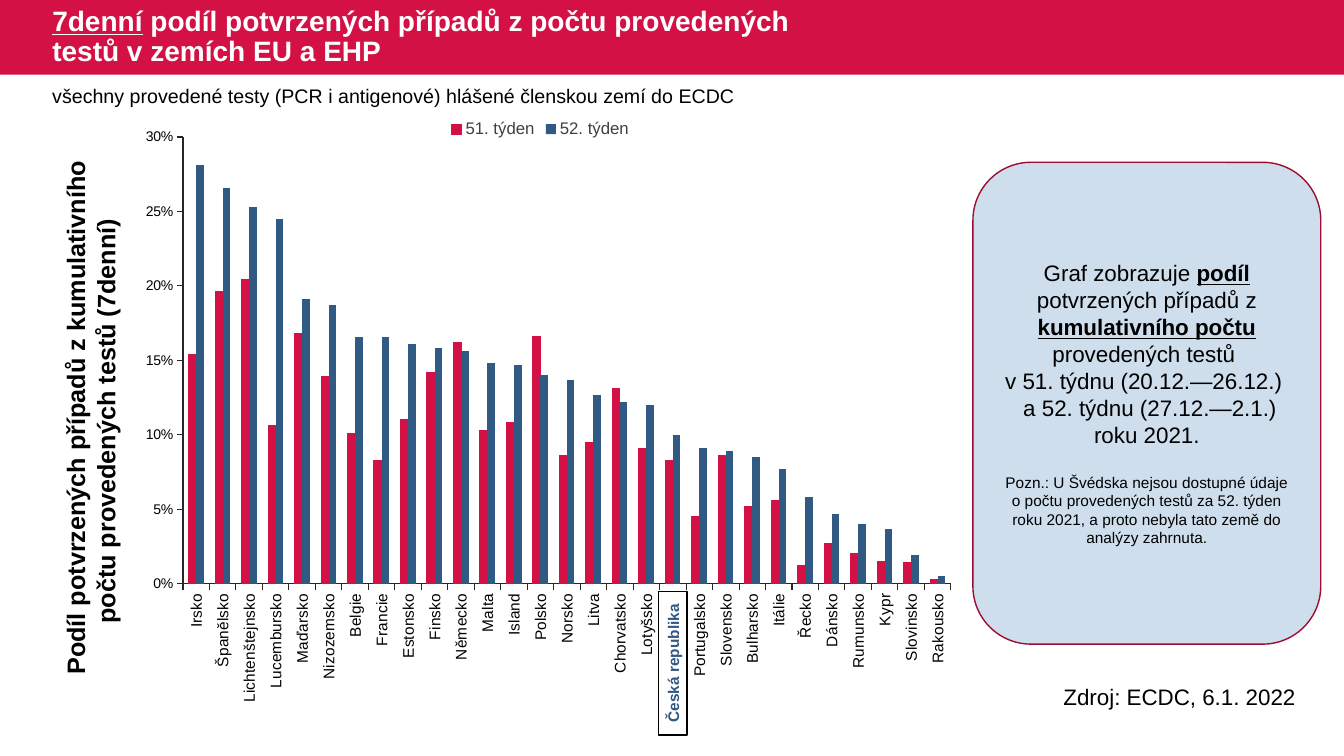
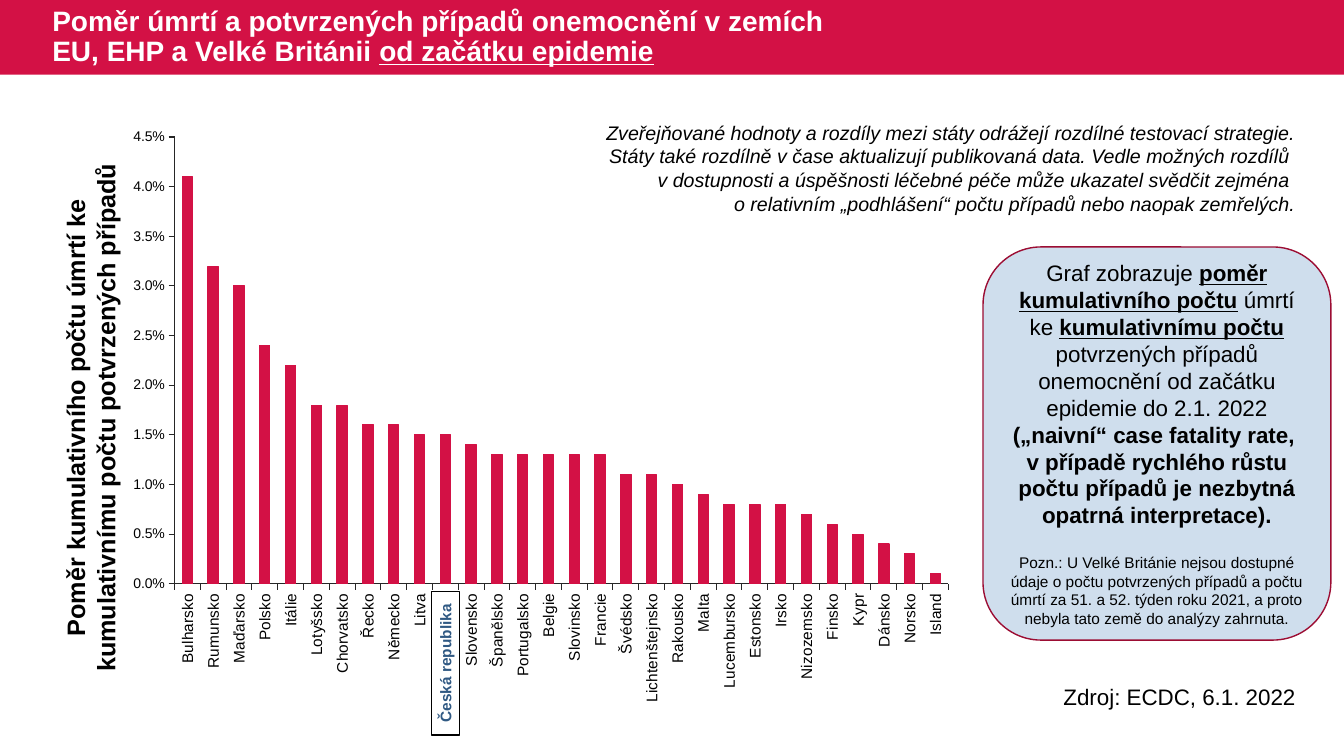
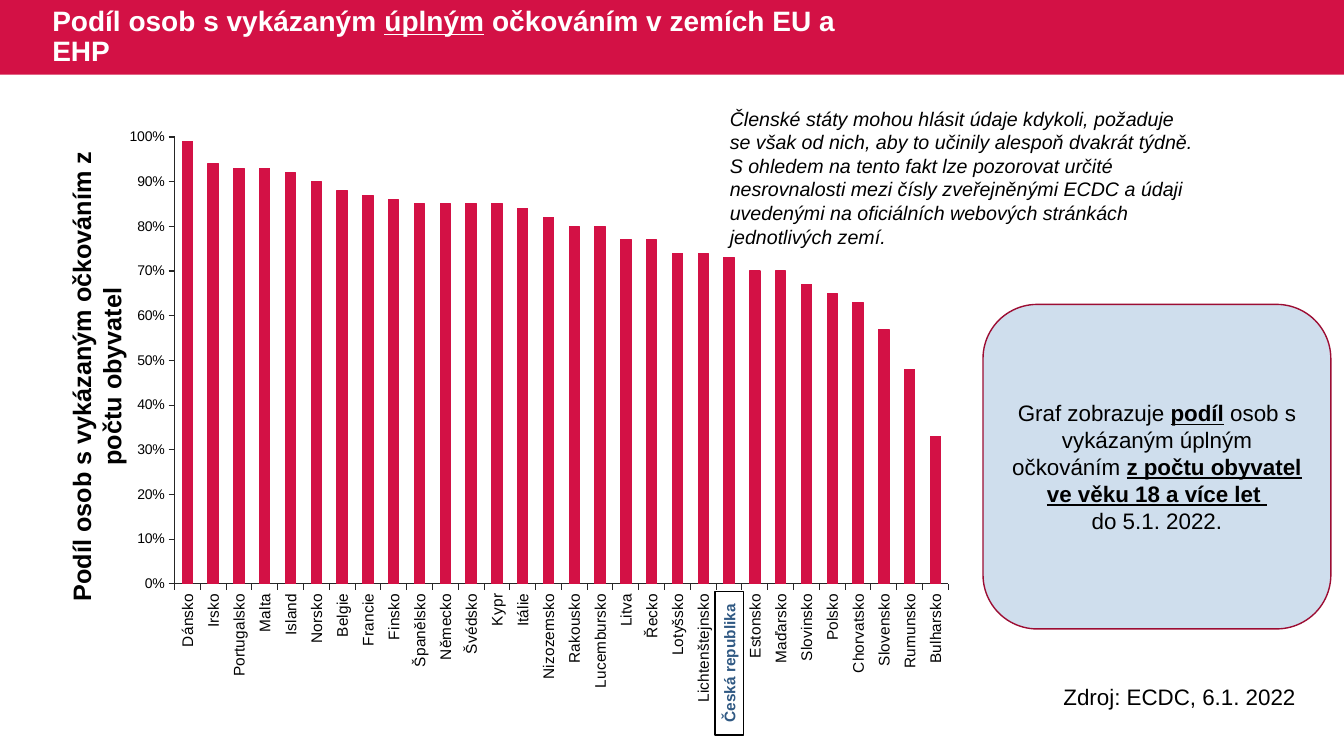
"""Build three slides of Czech epidemic charts with python-pptx."""
from dataclasses import dataclass
from typing import NamedTuple

from lxml import etree
from pptx import Presentation
from pptx.chart.data import CategoryChartData
from pptx.dml.color import RGBColor
from pptx.enum.chart import XL_CHART_TYPE, XL_LEGEND_POSITION, XL_TICK_MARK
from pptx.enum.shapes import MSO_SHAPE
from pptx.enum.text import MSO_ANCHOR, PP_ALIGN
from pptx.oxml.ns import qn
from pptx.util import Inches, Pt

RED = RGBColor(0xD3, 0x11, 0x45)
DARK_RED = RGBColor(0x9C, 0x0D, 0x33)
BLUE = RGBColor(0x30, 0x59, 0x83)
PALE_BLUE = RGBColor(0xCF, 0xDE, 0xED)
BLACK = RGBColor(0, 0, 0)
WHITE = RGBColor(0xFF, 0xFF, 0xFF)
AXIS_GREY = RGBColor(0x26, 0x26, 0x26)
LEGEND_GREY = RGBColor(0x40, 0x40, 0x40)

RECT, ROUND = MSO_SHAPE.RECTANGLE, MSO_SHAPE.ROUNDED_RECTANGLE
LEFT, CENTER, RIGHT = PP_ALIGN.LEFT, PP_ALIGN.CENTER, PP_ALIGN.RIGHT
TOP, MIDDLE = MSO_ANCHOR.TOP, MSO_ANCHOR.MIDDLE
COLUMNS = XL_CHART_TYPE.COLUMN_CLUSTERED
LEGEND_TOP = XL_LEGEND_POSITION.TOP
TICK_OUT, TICK_NONE = XL_TICK_MARK.OUTSIDE, XL_TICK_MARK.NONE

FONT = "Arial"
WIDTH, HEIGHT = Inches(13.33), Inches(7.5)
HOME = "Česká republika"
SOURCE = "Zdroj: ECDC, 6.1. 2022"


class Box(NamedTuple):
    """A rectangle in percent of the slide's width and height."""
    x: float
    y: float
    w: float
    h: float


class Run(NamedTuple):
    """A piece of text with its emphasis."""
    text: str
    bold: bool = False
    underline: bool = False


class Para(NamedTuple):
    """A paragraph with its text size and the space before it, in points."""
    runs: list[Run]
    size: float = 16
    before: float = 0


class Plot(NamedTuple):
    """The inner plot area in shares of the chart."""
    x: float
    w: float
    y: float = 0.047
    h: float = 0.745


@dataclass
class Series:
    """A named series of column values."""
    name: str
    values: list[float]
    color: RGBColor = RED


@dataclass
class CountryChart:
    """A column chart over countries."""
    countries: list[str]
    series: list[Series]
    plot: Plot
    top: float
    step: float
    number_format: str = "0%"


@dataclass
class Page:
    """The content of one slide."""
    title: list[Run]
    axis_label: str
    axis_box: Box
    chart: CountryChart
    panel: list[Para]
    panel_box: Box
    remark: list[str]
    remark_box: Box
    remark_italic: bool = True
    remark_align: PP_ALIGN = LEFT


BAND = Box(0, 0, 100, 9.87)
TITLE = Box(3.15, 0, 61.2, 9.87)
CHART = Box(8.7, 14.4, 63, 79.33)
SOURCE_BOX = Box(78.39, 89.73, 21, 4.93)
AXIS_LABEL = Box(4.09, 19.13, 5.33, 72.27)
HOME_W, HOME_Y, HOME_H = 2.1, 78.27, 18.93


def place(box: Box, upright: bool = False) -> tuple[int, int, int, int]:
    """Return a box in EMU, turned about its centre if the text stands upright."""
    x, w = (int(v * WIDTH / 100) for v in (box.x, box.w))
    y, h = (int(v * HEIGHT / 100) for v in (box.y, box.h))
    if upright:
        return x + (w - h) // 2, y + (h - w) // 2, h, w
    return x, y, w, h


def write(tf, paras: list[Para], color=BLACK, align=LEFT, anchor=TOP,
          italic=False, spacing=1.0) -> None:
    """Fill a text frame with formatted paragraphs."""
    tf.word_wrap = True
    tf.vertical_anchor = anchor
    for i, para in enumerate(paras):
        p = tf.paragraphs[0] if i == 0 else tf.add_paragraph()
        p.alignment = align
        p.line_spacing = spacing
        if para.before:
            p.space_before = Pt(para.before)
        for run in para.runs:
            r = p.add_run()
            r.text = run.text
            style(r.font, para.size, color)
            r.font.bold = run.bold
            r.font.underline = run.underline
            r.font.italic = italic


def style(font, size: float, color: RGBColor) -> None:
    """Set the typeface, size and colour of a font."""
    font.name = FONT
    font.size = Pt(size)
    font.color.rgb = color


def add_text(s, box: Box, paras: list[Para], upright=False, **format) -> None:
    """Add a text box, optionally reading upwards."""
    sp = s.shapes.add_textbox(*place(box, upright))
    sp.rotation = 270 if upright else 0
    write(sp.text_frame, paras, **format)


def add_panel(s, box: Box, kind, fill, line=None, paras=(), upright=False, **format) -> None:
    """Add a filled shape with optional outline and centred text."""
    sp = s.shapes.add_shape(kind, *place(box, upright))
    sp.rotation = 270 if upright else 0
    sp.shadow.inherit = False
    sp.fill.solid()
    sp.fill.fore_color.rgb = fill
    if line is None:
        sp.line.fill.background()
    else:
        sp.line.color.rgb = line
        sp.line.width = Pt(1)
    write(sp.text_frame, paras, align=CENTER, anchor=MIDDLE, **format)


def set_plot_area(chart, plot: Plot) -> None:
    """Fix the inner plot area of a chart."""
    area = chart._chartSpace.chart.plotArea
    for old in area.findall(qn("c:layout")):
        area.remove(old)
    layout = etree.Element(qn("c:layout"))
    manual = etree.SubElement(layout, qn("c:manualLayout"))
    settings = {"layoutTarget": "inner", "xMode": "edge", "yMode": "edge",
                "x": plot.x, "y": plot.y, "w": plot.w, "h": plot.h}
    for tag, value in settings.items():
        etree.SubElement(manual, qn(f"c:{tag}")).set("val", str(value))
    area.insert(0, layout)


def style_axis(axis, size: float) -> None:
    """Format an axis line, its ticks and labels."""
    axis.has_major_gridlines = False
    axis.major_tick_mark = TICK_OUT
    axis.minor_tick_mark = TICK_NONE
    axis.format.line.color.rgb = AXIS_GREY
    axis.format.line.width = Pt(0.75)
    style(axis.tick_labels.font, size, BLACK)


def add_country_chart(s, spec: CountryChart) -> None:
    """Add the column chart and frame the home country's label."""
    data = CategoryChartData(number_format=spec.number_format)
    data.categories = spec.countries
    for series in spec.series:
        data.add_series(series.name, series.values)
    chart = s.shapes.add_chart(COLUMNS, *place(CHART), data).chart
    style(chart.font, 10, LEGEND_GREY)
    chart.has_title = False
    chart.has_legend = len(spec.series) > 1
    if chart.has_legend:
        chart.legend.position = LEGEND_TOP
        chart.legend.include_in_layout = False
        style(chart.legend.font, 12, LEGEND_GREY)
    set_plot_area(chart, spec.plot)

    columns = chart.plots[0]
    columns.gap_width = 150
    columns.overlap = 0
    columns.vary_by_categories = False
    for drawn, series in zip(columns.series, spec.series):
        drawn.format.fill.solid()
        drawn.format.fill.fore_color.rgb = series.color
        if series.color == RED:
            drawn.format.line.color.rgb = RED
            drawn.format.line.width = Pt(0.75)

    style_axis(chart.category_axis, 11)
    labels = chart.category_axis._element.find(qn("c:txPr"))
    labels.find(qn("a:bodyPr")).set("rot", "-5400000")
    values = chart.value_axis
    style_axis(values, 10)
    values.minimum_scale = 0
    values.maximum_scale = spec.top
    values.major_unit = spec.step
    values.tick_labels.number_format = spec.number_format
    values.tick_labels.number_format_is_linked = False

    share = (spec.countries.index(HOME) + 0.5) / len(spec.countries)
    center = CHART.x + CHART.w * (spec.plot.x + spec.plot.w * share)
    add_panel(s, Box(center - HOME_W / 2, HOME_Y, HOME_W, HOME_H), RECT, WHITE, BLACK,
              [Para([Run(HOME, bold=True)], 11)], upright=True, color=BLUE)


def add_page(prs, page: Page) -> None:
    """Add one slide with its band, chart, panel and texts."""
    s = prs.slides.add_slide(prs.slide_layouts[6])
    add_panel(s, BAND, RECT, RED)
    add_text(s, TITLE, [Para(page.title, 20)], color=WHITE, anchor=MIDDLE, spacing=0.9)
    add_text(s, SOURCE_BOX, [Para([Run(SOURCE)])])
    add_text(s, page.axis_box, [Para([Run(page.axis_label, bold=True)], 18)],
             upright=True, align=CENTER)
    add_country_chart(s, page.chart)
    add_panel(s, page.panel_box, ROUND, PALE_BLUE, DARK_RED, page.panel)
    add_text(s, page.remark_box, [Para([Run(text)], 14) for text in page.remark],
             italic=page.remark_italic, align=page.remark_align)


POSITIVITY = Page(
    title=[Run("7denní", True, True),
           Run(" podíl potvrzených případů z počtu provedených testů v zemích EU a EHP", True)],
    axis_label="Podíl potvrzených případů z kumulativního počtu provedených testů (7denní) ",
    axis_box=AXIS_LABEL,
    chart=CountryChart(
        ["Irsko", "Španělsko", "Lichtenštejnsko", "Lucembursko", "Maďarsko", "Nizozemsko",
         "Belgie", "Francie", "Estonsko", "Finsko", "Německo", "Malta", "Island", "Polsko",
         "Norsko", "Litva", "Chorvatsko", "Lotyšsko", HOME, "Portugalsko", "Slovensko",
         "Bulharsko", "Itálie", "Řecko", "Dánsko", "Rumunsko", "Kypr", "Slovinsko", "Rakousko"],
        [Series("51. týden", [
            0.154, 0.196, 0.204, 0.106, 0.168, 0.139, 0.101, 0.083, 0.11, 0.142,
            0.162, 0.103, 0.108, 0.166, 0.086, 0.095, 0.131, 0.091, 0.083, 0.045,
            0.086, 0.052, 0.056, 0.012, 0.027, 0.02, 0.015, 0.014, 0.003]),
         Series("52. týden", [
             0.281, 0.266, 0.253, 0.245, 0.191, 0.187, 0.166, 0.166, 0.161, 0.158,
             0.156, 0.148, 0.147, 0.14, 0.137, 0.127, 0.122, 0.12, 0.1, 0.091,
             0.089, 0.085, 0.077, 0.058, 0.047, 0.04, 0.037, 0.019, 0.005], BLUE)],
        Plot(0.078, 0.907), top=0.3, step=0.05),
    panel=[
        Para([Run("Graf zobrazuje "), Run("podíl", True, True),
              Run(" potvrzených případů z "), Run("kumulativního počtu", True, True),
              Run(" provedených testů ")]),
        Para([Run("v 51. týdnu (20.12.—26.12.) ")]),
        Para([Run(" a 52. týdnu (27.12.—2.1.) roku 2021.")]),
        Para([Run("Pozn.: U Švédska nejsou dostupné údaje o počtu provedených testů za "
                  "52. týden roku 2021, a proto nebyla tato země do analýzy zahrnuta.")], 11, 18)],
    panel_box=Box(72.39, 21.47, 25.88, 63.73),
    remark=["všechny provedené testy (PCR i antigenové) hlášené členskou zemí do ECDC"],
    remark_box=Box(3.15, 10.4, 94.4, 4.53),
    remark_italic=False)

FATALITY = Page(
    title=[Run("Poměr úmrtí a potvrzených případů onemocnění v zemích EU, EHP "
               "a Velké Británii ", True),
           Run("od začátku epidemie", True, True)],
    axis_label="Poměr kumulativního počtu úmrtí ke kumulativnímu počtu potvrzených případů",
    axis_box=AXIS_LABEL,
    chart=CountryChart(
        ["Bulharsko", "Rumunsko", "Maďarsko", "Polsko", "Itálie", "Lotyšsko", "Chorvatsko",
         "Řecko", "Německo", "Litva", HOME, "Slovensko", "Španělsko", "Portugalsko", "Belgie",
         "Slovinsko", "Francie", "Švédsko", "Lichtenštejnsko", "Rakousko", "Malta",
         "Lucembursko", "Estonsko", "Irsko", "Nizozemsko", "Finsko", "Kypr", "Dánsko",
         "Norsko", "Island"],
        [Series("Series 1", [
            0.041, 0.032, 0.03, 0.024, 0.022, 0.018, 0.018, 0.016, 0.016, 0.015,
            0.015, 0.014, 0.013, 0.013, 0.013, 0.013, 0.013, 0.011, 0.011, 0.01,
            0.009, 0.008, 0.008, 0.008, 0.007, 0.006, 0.005, 0.004, 0.003, 0.001])],
        Plot(0.068, 0.914), top=0.045, step=0.005, number_format="0.0%"),
    panel=[
        Para([Run("Graf zobrazuje "), Run("poměr kumulativního počtu", True, True),
              Run(" úmrtí ke "), Run("kumulativnímu počtu", True, True),
              Run(" potvrzených případů onemocnění od začátku epidemie do 2.1. 2022")]),
        Para([Run("(„naivní“ case fatality rate, ", True)]),
        Para([Run("v případě rychlého růstu počtu případů je nezbytná opatrná interpretace).",
                  True)]),
        Para([Run("Pozn.: U Velké Británie nejsou dostupné údaje o počtu potvrzených případů "
                  "a počtu úmrtí za 51. a 52. týden roku 2021, a proto nebyla tato země "
                  "do analýzy zahrnuta.")], 11, 18)],
    panel_box=Box(73.14, 32.67, 25.88, 52),
    remark=["Zveřejňované hodnoty a rozdíly mezi státy odrážejí rozdílné testovací strategie. "
            "Státy také rozdílně v čase aktualizují publikovaná data. Vedle možných rozdílů ",
            "v dostupnosti a úspěšnosti léčebné péče může ukazatel svědčit zejména ",
            "o relativním „podhlášení“ počtu případů nebo naopak zemřelých."],
    remark_box=Box(43.66, 15.33, 53.49, 13.87),
    remark_align=RIGHT)

VACCINATION = Page(
    title=[Run("Podíl osob s vykázaným ", True), Run("úplným", True, True),
           Run(" očkováním v zemích EU a EHP", True)],
    axis_label="Podíl osob s vykázaným očkováním z počtu obyvatel",
    axis_box=Box(4.54, 16.33, 5.33, 66.93),
    chart=CountryChart(
        ["Dánsko", "Irsko", "Portugalsko", "Malta", "Island", "Norsko", "Belgie", "Francie",
         "Finsko", "Španělsko", "Německo", "Švédsko", "Kypr", "Itálie", "Nizozemsko",
         "Rakousko", "Lucembursko", "Litva", "Řecko", "Lotyšsko", "Lichtenštejnsko", HOME,
         "Estonsko", "Maďarsko", "Slovinsko", "Polsko", "Chorvatsko", "Slovensko",
         "Rumunsko", "Bulharsko"],
        [Series("Series 1", [
            0.99, 0.94, 0.93, 0.93, 0.92, 0.9, 0.88, 0.87, 0.86, 0.85,
            0.85, 0.85, 0.85, 0.84, 0.82, 0.8, 0.8, 0.77, 0.77, 0.74,
            0.74, 0.73, 0.7, 0.7, 0.67, 0.65, 0.63, 0.57, 0.48, 0.33])],
        Plot(0.068, 0.914), top=1, step=0.1),
    panel=[
        Para([Run("Graf zobrazuje "), Run("podíl", True, True),
              Run(" osob s vykázaným úplným očkováním "),
              Run("z počtu obyvatel ve věku 18 a více let ", True, True)]),
        Para([Run("do 5.1. 2022.")])],
    panel_box=Box(73.14, 40.27, 25.88, 42.93),
    remark=["Členské státy mohou hlásit údaje kdykoli, požaduje se však od nich, aby to učinily "
            "alespoň dvakrát týdně. S ohledem na tento fakt lze pozorovat určité nesrovnalosti "
            "mezi čísly zveřejněnými ECDC a údaji uvedenými na oficiálních webových stránkách "
            "jednotlivých zemí."],
    remark_box=Box(53.56, 13.47, 36.46, 20.13))


def main() -> None:
    """Build and save the presentation."""
    prs = Presentation()
    prs.slide_width, prs.slide_height = WIDTH, HEIGHT
    for page in (POSITIVITY, FATALITY, VACCINATION):
        add_page(prs, page)
    prs.save("out.pptx")


if __name__ == "__main__":
    main()
